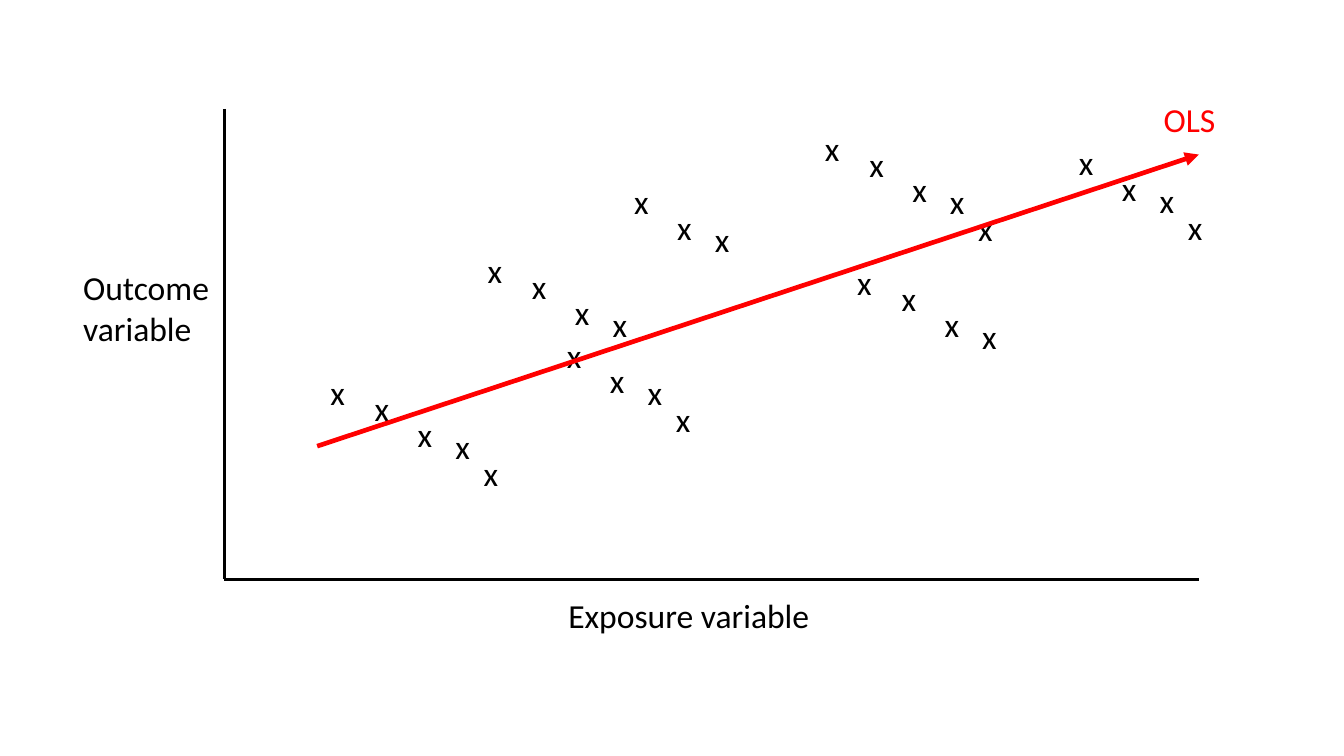
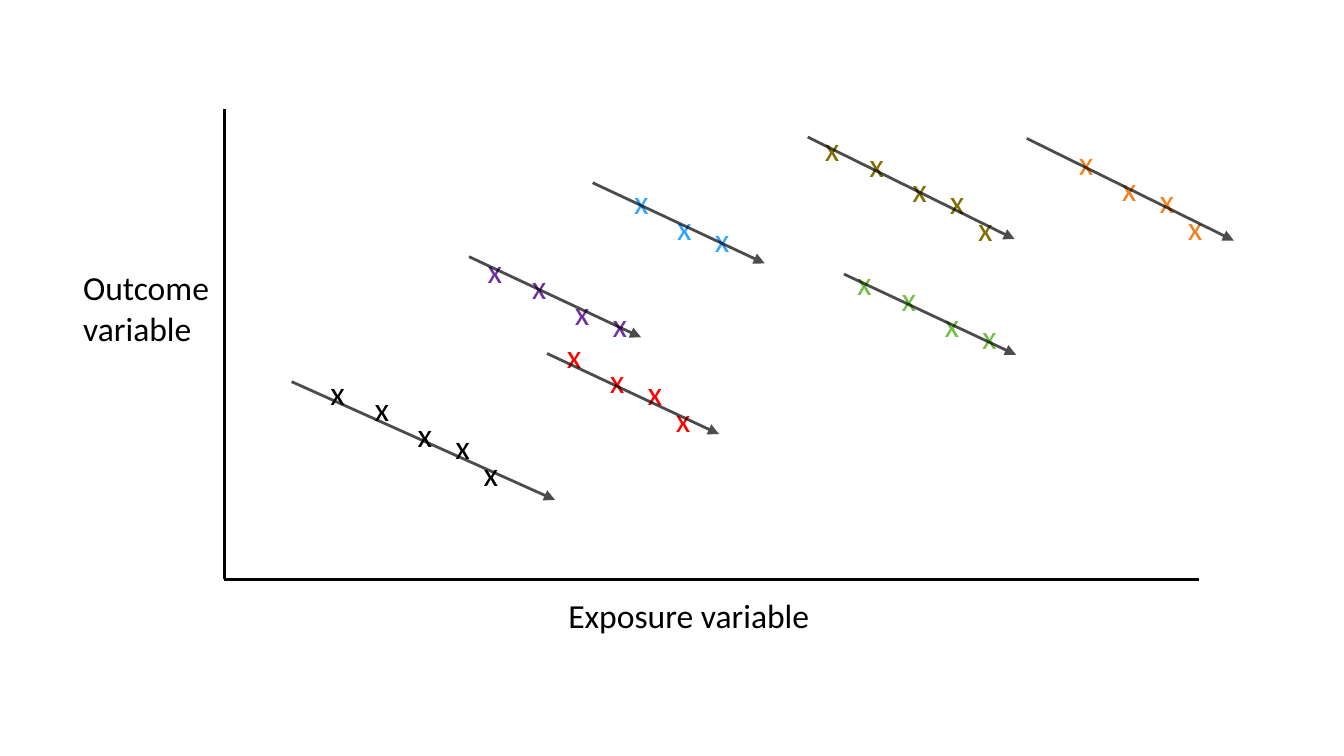
"""Build two scatter slides: one pooled trend and one trend per group."""
import dataclasses

import pptx
import pptx.dml.color
import pptx.enum.shapes
import pptx.enum.text
import pptx.oxml
import pptx.oxml.ns
import pptx.util

Inches = pptx.util.Inches


@dataclasses.dataclass(frozen=True)
class Theme:
    """Colours, type and line widths shared by the slides."""
    font: str = "Calibri"
    text_size: int = 18
    ink: str = "000000"
    red: str = "FF0000"
    purple: str = "7030A0"
    blue: str = "2FA5FF"
    olive: str = "806E00"
    green: str = "72BF44"
    orange: str = "F58220"
    axis_width: float = 1.75
    pooled_width: float = 2.5
    group_width: float = 1.5
    group_opacity: int = 70


@dataclasses.dataclass(frozen=True)
class Box:
    """A region of a slide in inches."""
    left: float
    top: float
    width: float
    height: float


@dataclasses.dataclass(frozen=True)
class Group:
    """A run of marks along the shared pattern, with its trend line."""
    color: str
    origin: tuple
    first: int
    last: int
    trend_start: tuple
    trend_size: tuple


THEME = Theme()
PLOT = Box(1.67, 0.81, 7.25, 3.5)
MARK_STEPS = ((0, 0), (0.33, 0.12), (0.65, 0.31), (0.93, 0.4), (1.14, 0.6))
MARK_SIZE = (0.33, 0.4)
SHORT_TREND = (1.28, 0.6)
MEDIUM_TREND = (1.54, 0.76)
LONG_TREND = (1.96, 0.88)
GROUPS = (
    Group(THEME.purple, (1.86, 1.0), 0, 4, (1.82, 1.1), SHORT_TREND),
    Group(THEME.blue, (2.62, 0.37), 1, 4, (2.74, 0.55), SHORT_TREND),
    Group(THEME.ink, (0.69, 1.91), 0, 5, (0.5, 2.03), LONG_TREND),
    Group(THEME.red, (2.12, 1.51), 1, 5, (2.4, 1.82), SHORT_TREND),
    Group(THEME.olive, (4.37, 0.09), 0, 5, (4.34, 0.21), MEDIUM_TREND),
    Group(THEME.green, (4.61, 1.09), 0, 4, (4.61, 1.23), SHORT_TREND),
    Group(THEME.orange, (5.93, 0.08), 1, 5, (5.97, 0.22), MEDIUM_TREND),
)


def add_child(parent, tag, **attributes):
    """Append a drawing element with the given attributes."""
    child = pptx.oxml.parse_xml(f"<{tag} {pptx.oxml.ns.nsdecls('a')}/>")
    for name, value in attributes.items():
        child.set(name, value)
    parent.append(child)


def add_line(slide, box, start, end, color, width, arrow=False, opacity=100):
    """Draw a straight line between two points of the box."""
    line = slide.shapes.add_connector(
        pptx.enum.shapes.MSO_CONNECTOR.STRAIGHT,
        Inches(box.left + start[0]), Inches(box.top + start[1]),
        Inches(box.left + end[0]), Inches(box.top + end[1]))
    line.line.width = pptx.util.Pt(width)
    line.line.color.rgb = pptx.dml.color.RGBColor.from_string(color)
    properties = line._element.spPr.find(pptx.oxml.ns.qn("a:ln"))
    if opacity < 100:
        color_element = properties.find(".//" + pptx.oxml.ns.qn("a:srgbClr"))
        add_child(color_element, "a:alpha", val=str(opacity * 1000))
    if arrow:
        add_child(properties, "a:tailEnd", type="triangle")
    add_child(line._element.spPr, "a:effectLst")


def add_label(slide, box, offset, size, text, color=THEME.ink):
    """Place a text label at an offset from the corner of the box."""
    label = slide.shapes.add_textbox(
        Inches(box.left + offset[0]), Inches(box.top + offset[1]),
        Inches(size[0]), Inches(size[1]))
    text_frame = label.text_frame
    text_frame.word_wrap = True
    text_frame.auto_size = pptx.enum.text.MSO_AUTO_SIZE.SHAPE_TO_FIT_TEXT
    text_frame.text = text
    font = text_frame.paragraphs[0].runs[0].font
    font.name = THEME.font
    font.size = pptx.util.Pt(THEME.text_size)
    font.color.rgb = pptx.dml.color.RGBColor.from_string(color)


def add_axes(slide, box):
    """Draw the two axes along the left and bottom of the box."""
    corner = (0, box.height)
    for start, end in (((0, 0), corner), ((box.width, box.height), corner)):
        add_line(slide, box, start, end, THEME.ink, THEME.axis_width)


def add_axis_titles(slide, box):
    """Name the axes below and left of the box."""
    add_label(slide, box, (2.46, box.height + 0.07), (2.58, 0.4), "Exposure variable")
    add_label(slide, box, (-1.15, 1.13), (1.38, 0.71), "Outcome variable")


def add_marks(slide, box, group, color):
    """Place the marks of a group along the shared pattern."""
    for across, down in MARK_STEPS[group.first:group.last]:
        offset = (group.origin[0] + across, group.origin[1] + down)
        add_label(slide, box, offset, MARK_SIZE, "x", color)


def add_scatter(slide, box, colored):
    """Draw axes, marks and axis titles in the box."""
    add_axes(slide, box)
    for group in GROUPS:
        add_marks(slide, box, group, group.color if colored else THEME.ink)
    add_axis_titles(slide, box)


def build_pooled_slide(slide, box):
    """Show all marks in one colour with a single rising trend."""
    add_scatter(slide, box, colored=False)
    add_line(slide, box, (0.69, 2.51), (box.width, 0.34),
             THEME.red, THEME.pooled_width, arrow=True)
    add_label(slide, box, (6.89, -0.12), (0.67, 0.4), "OLS", THEME.red)


def build_grouped_slide(slide, box):
    """Show each group in its colour with its own falling trend."""
    add_scatter(slide, box, colored=True)
    for group in GROUPS:
        end = [start + size for start, size in zip(group.trend_start, group.trend_size)]
        add_line(slide, box, group.trend_start, end, THEME.ink,
                 THEME.group_width, arrow=True, opacity=THEME.group_opacity)


def main():
    """Build and save the presentation."""
    presentation = pptx.Presentation()
    presentation.slide_width = Inches(10)
    presentation.slide_height = Inches(10) * 9 // 16
    for build_slide in (build_pooled_slide, build_grouped_slide):
        slide = presentation.slides.add_slide(presentation.slide_layouts[6])
        build_slide(slide, PLOT)
    presentation.save("out.pptx")


if __name__ == "__main__":
    main()
